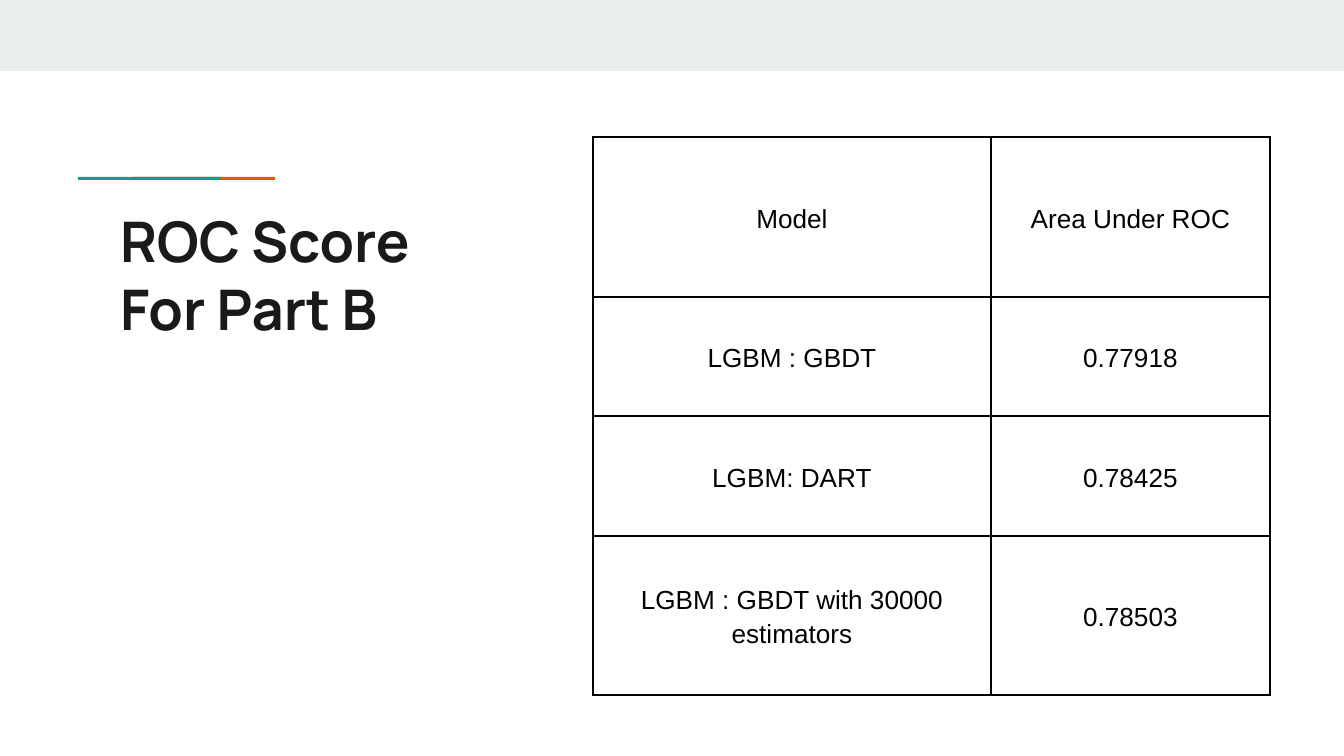
from dataclasses import dataclass

from lxml.etree import SubElement
from pptx import Presentation
from pptx.dml.color import RGBColor
from pptx.enum.shapes import MSO_SHAPE
from pptx.enum.text import MSO_ANCHOR, PP_ALIGN
from pptx.oxml.ns import qn
from pptx.util import Pt

SCALE = 914400 / 134.4  # EMU in one px


@dataclass(frozen=True)
class Theme:
    band: str = "E9EDEE"
    teal: str = "1A9988"
    orange: str = "EB5600"
    title: str = "1A1A1A"
    ink: str = "000000"
    title_font: str = "Manrope"
    body_font: str = "Arial"
    title_size: int = 30
    body_size: int = 14
    border: int = 1


THEME = Theme()

ROWS = [
    ("Model", "Area Under ROC"),
    ("LGBM : GBDT", "0.77918"),
    ("LGBM: DART", "0.78425"),
    ("LGBM : GBDT with 30000 estimators", "0.78503"),
]
COL_WIDTHS = (398, 279)
ROW_HEIGHTS = (160, 119, 120, 159)


def px(n):
    return round(n * SCALE)


def set_all(obj, **values):
    for name, value in values.items():
        setattr(obj, name, value)


def set_font(p, name, size, color, bold=False):
    set_all(p.font, name=name, size=Pt(size), bold=bold)
    p.font.color.rgb = RGBColor.from_string(color)


def add_bar(s, x, y, w, h, color):
    sp = s.shapes.add_shape(MSO_SHAPE.RECTANGLE, *map(px, (x, y, w, h)))
    sp.shadow.inherit = False
    sp.fill.solid()
    sp.fill.fore_color.rgb = RGBColor.from_string(color)
    sp.line.fill.background()


def set_title(s, lines, x, y, w, h):
    sp = s.shapes.title
    set_all(sp, left=px(x), top=px(y), width=px(w), height=px(h))
    tf = sp.text_frame
    tf.text = "\n".join(lines)
    inset = px(13)
    set_all(tf, word_wrap=True, vertical_anchor=MSO_ANCHOR.TOP,
            margin_left=inset, margin_right=inset,
            margin_top=inset, margin_bottom=inset)
    for p in tf.paragraphs:
        p.alignment = PP_ALIGN.LEFT
        set_font(p, THEME.title_font, THEME.title_size, THEME.title, bold=True)


def set_borders(cell):
    tc_pr = cell._tc.get_or_add_tcPr()
    for i, side in enumerate(("lnL", "lnR", "lnT", "lnB")):
        ln = SubElement(tc_pr, qn(f"a:{side}"), w=str(Pt(THEME.border)))
        fill = SubElement(ln, qn("a:solidFill"))
        SubElement(fill, qn("a:srgbClr"), val=THEME.ink)
        tc_pr.remove(ln)
        tc_pr.insert(i, ln)  # borders come before the cell fill


def format_cell(cell, text):
    cell.text = text
    cell.fill.background()
    set_all(cell, vertical_anchor=MSO_ANCHOR.MIDDLE,
            margin_left=px(9), margin_right=px(9),
            margin_top=px(13), margin_bottom=px(13))
    p = cell.text_frame.paragraphs[0]
    set_all(p, alignment=PP_ALIGN.CENTER, line_spacing=1.15)
    set_font(p, THEME.body_font, THEME.body_size, THEME.ink)
    set_borders(cell)


def add_score_table(s, x, y):
    size = (sum(COL_WIDTHS), sum(ROW_HEIGHTS))
    frame = s.shapes.add_table(len(ROWS), len(COL_WIDTHS),
                               *map(px, (x, y, *size)))
    table = frame.table
    set_all(table, first_row=False, horz_banding=False)
    for col, w in zip(table.columns, COL_WIDTHS):
        col.width = px(w)
    for row, h, texts in zip(table.rows, ROW_HEIGHTS, ROWS):
        row.height = px(h)
        for cell, text in zip(row.cells, texts):
            format_cell(cell, text)


def main():
    prs = Presentation()
    set_all(prs, slide_width=px(1344), slide_height=px(756))
    s = prs.slides.add_slide(prs.slide_layouts[5])

    # Top band, then the accent line: teal overlaps orange
    add_bar(s, 0, 0, 1344, 71, THEME.band)
    add_bar(s, 132, 177, 143, 3, THEME.orange)
    add_bar(s, 78, 177, 143, 3, THEME.teal)

    # Title and scores
    set_title(s, ("ROC Score", "For Part B"), 107, 194, 538, 470)
    add_score_table(s, 593, 137)

    prs.save("out.pptx")


if __name__ == "__main__":
    main()
